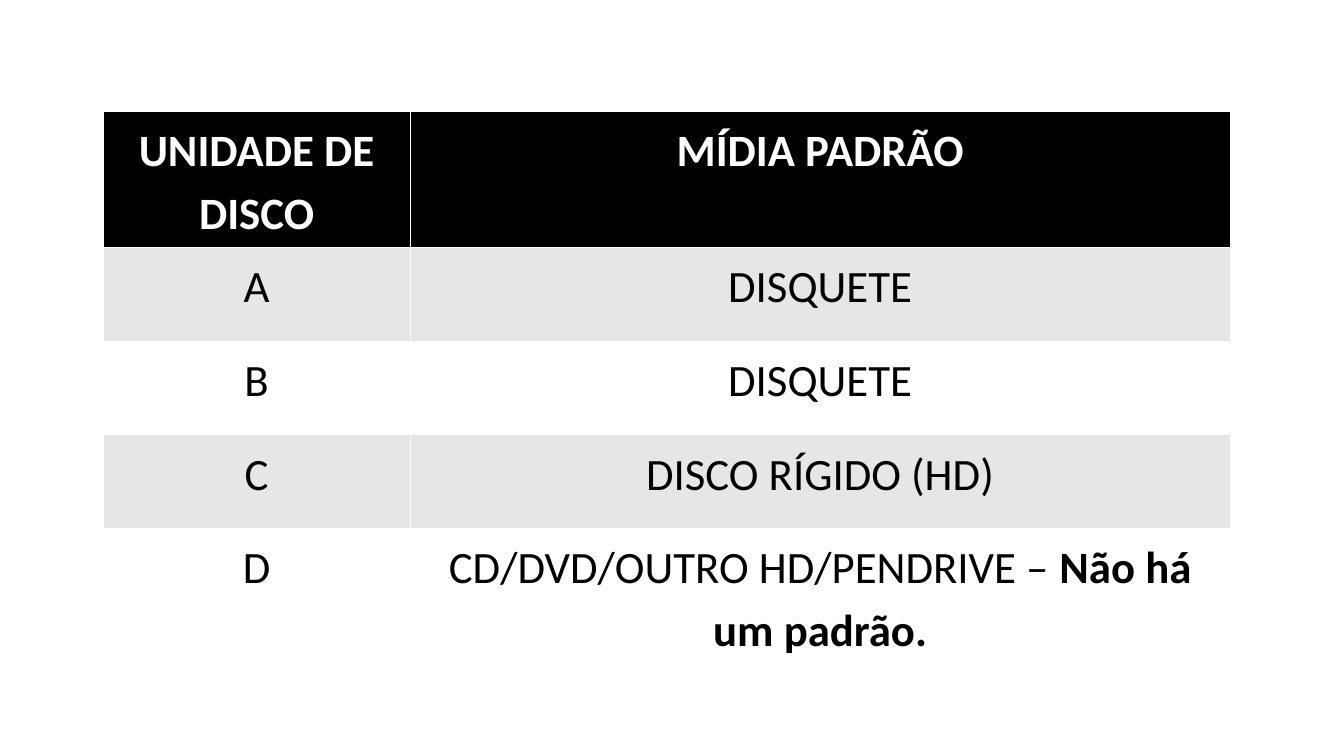
from dataclasses import dataclass

from lxml import etree
from pptx import Presentation
from pptx.dml.color import RGBColor
from pptx.enum import text
from pptx.oxml import ns
from pptx.util import Inches, Pt

# Each cell is a tuple of (wording, bold) spans.
DRIVES = [
    [(("UNIDADE DE DISCO", True),), (("MÍDIA PADRÃO", True),)],
    [(("A", False),), (("DISQUETE", False),)],
    [(("B", False),), (("DISQUETE", False),)],
    [(("C", False),), (("DISCO RÍGIDO (HD)", False),)],
    [(("D", False),),
     (("CD/DVD/OUTRO HD/PENDRIVE – ", False), ("Não há um padrão.", True))],
]
COLUMN_WIDTHS = [3.05, 8.13]
ROW_HEIGHTS = [1.29, 0.93, 0.93, 0.93, 1.26]
TABLE_LEFT, TABLE_TOP = 1.02, 1.1


@dataclass(frozen=True)
class Theme:
    font: str = "Calibri"
    size: float = 32
    space_after: float = 5.7
    line_spacing: float = 1.15
    border_width: float = 0.06
    black: str = "000000"
    white: str = "FFFFFF"
    grey: str = "E6E6E6"


THEME = Theme()


def row_colors(row):
    """Return the fill and text colours of a row: dark header, then bands."""
    if row == 0:
        return THEME.black, THEME.white
    return (THEME.grey if row % 2 else THEME.white), THEME.black


def add_borders(cell):
    properties = cell._tc.get_or_add_tcPr()
    for position, side in enumerate(("lnL", "lnR", "lnT", "lnB")):
        line = etree.Element(ns.qn(f"a:{side}"), w=str(Pt(THEME.border_width)))
        fill = etree.SubElement(line, ns.qn("a:solidFill"))
        etree.SubElement(fill, ns.qn("a:srgbClr"), val=THEME.white)
        properties.insert(position, line)


def fill_cell(cell, spans, fill_color, text_color):
    cell.fill.solid()
    cell.fill.fore_color.rgb = RGBColor.from_string(fill_color)
    add_borders(cell)
    para = cell.text_frame.paragraphs[0]
    para.alignment = text.PP_ALIGN.CENTER
    para.line_spacing = THEME.line_spacing
    para.space_after = Pt(THEME.space_after)
    for wording, bold in spans:
        span = para.add_run()
        span.text = wording
        span.font.name = THEME.font
        span.font.size = Pt(THEME.size)
        span.font.bold = bold
        span.font.color.rgb = RGBColor.from_string(text_color)


def main():
    deck = Presentation()
    deck.slide_width, deck.slide_height = Inches(13.33), Inches(7.5)
    page = deck.slides.add_slide(deck.slide_layouts.get_by_name("Blank"))
    table = page.shapes.add_table(
        len(ROW_HEIGHTS), len(COLUMN_WIDTHS),
        Inches(TABLE_LEFT), Inches(TABLE_TOP),
        Inches(sum(COLUMN_WIDTHS)), Inches(sum(ROW_HEIGHTS))).table
    for column, width in zip(table.columns, COLUMN_WIDTHS):
        column.width = Inches(width)
    for row, height in zip(table.rows, ROW_HEIGHTS):
        row.height = Inches(height)
    for row, cells in enumerate(DRIVES):
        for column, spans in enumerate(cells):
            fill_cell(table.cell(row, column), spans, *row_colors(row))
    deck.save("out.pptx")


if __name__ == "__main__":
    main()
